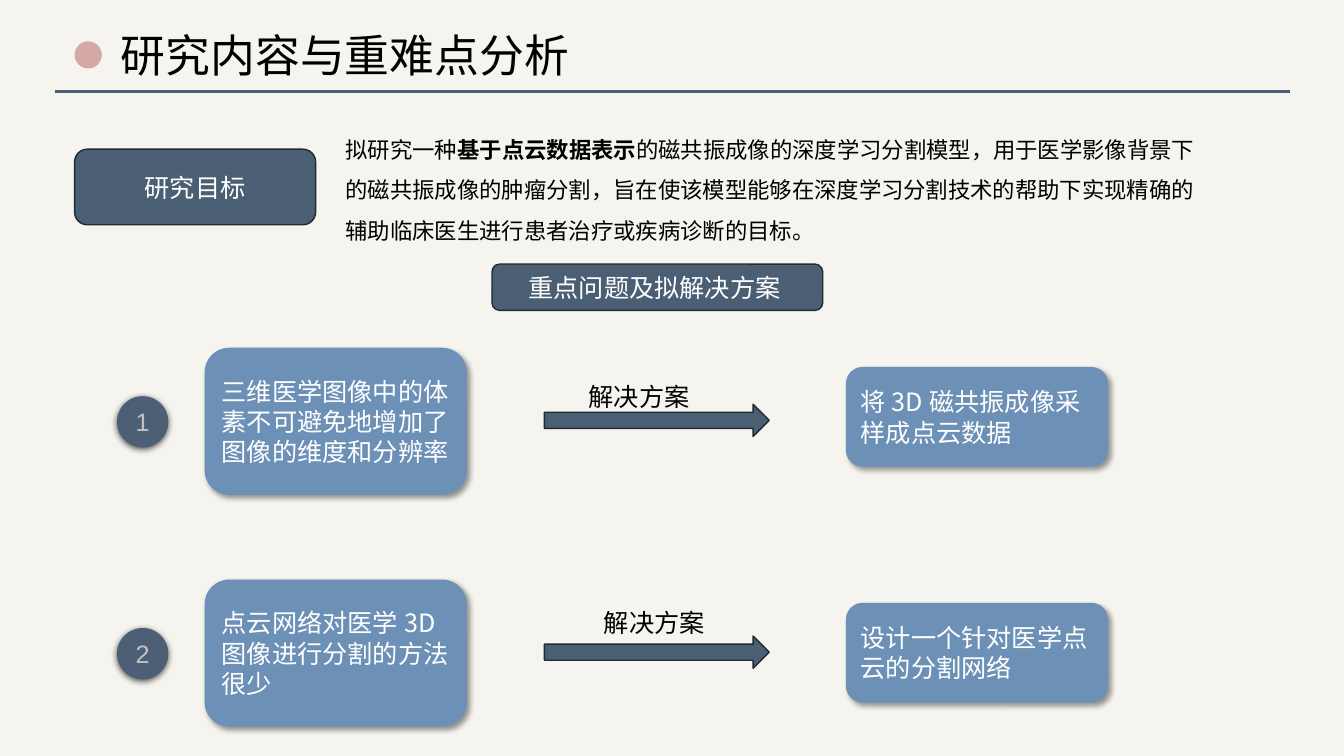
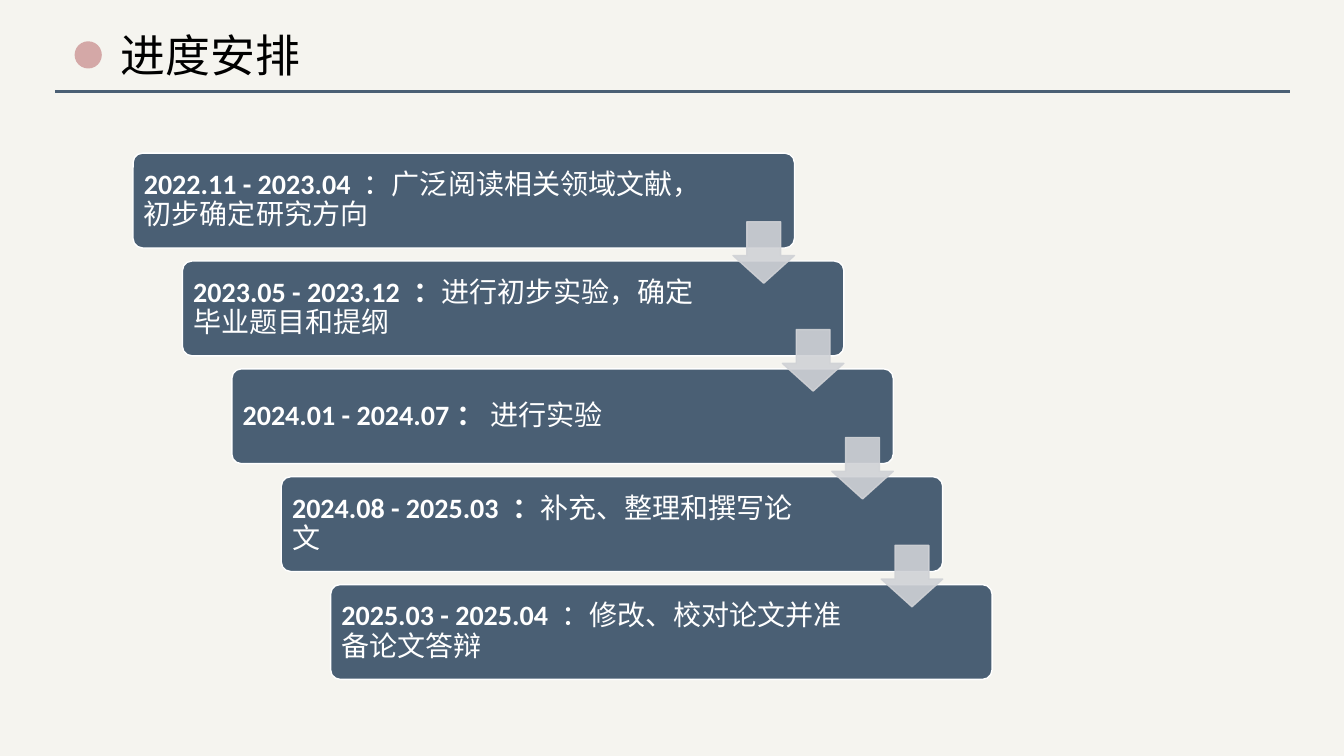
"""Build two thesis slides: research focus and schedule."""
from dataclasses import dataclass

from lxml.etree import SubElement
from pptx import Presentation
from pptx.dml.color import RGBColor as Rgb
from pptx.enum.shapes import MSO_CONNECTOR as Link, MSO_SHAPE as Kind
from pptx.enum.text import MSO_ANCHOR as Anchor, MSO_AUTO_SIZE as Fit, PP_ALIGN as Align
from pptx.oxml.ns import qn
from pptx.shapes.autoshape import Shape
from pptx.slide import Slide
from pptx.util import Emu, Pt

SCALE = 9144


@dataclass(frozen=True)
class Theme:
    """Colours, fonts and type sizes."""
    paper: str = "F5F4EF"
    slate: str = "4A5F74"
    edge: str = "202A33"
    rose: str = "D4A8A7"
    blue: str = "6D91B6"
    disc: str = "4D5F75"
    mist: str = "D0D2D6"
    grey: str = "C2C2C2"
    white: str = "FFFFFF"
    black: str = "000000"
    han: str = "Noto Sans CJK SC"
    serif: str = "Times New Roman"
    sans: str = "Arial"
    date: str = "Calibri"
    title: int = 32
    step: int = 20
    label: int = 18
    body: int = 16


T = Theme()


@dataclass(frozen=True)
class Box:
    """A place on the slide in px."""
    x: int
    y: int
    w: int
    h: int

    def emu(self) -> tuple[Emu, ...]:
        """Return the four lengths in EMU."""
        return tuple(px(n) for n in (self.x, self.y, self.w, self.h))


@dataclass(frozen=True)
class Part:
    """A stretch of text of one weight."""
    text: str
    bold: bool = False


@dataclass(frozen=True)
class Type:
    """How a paragraph is set."""
    size: int = T.label
    color: str = T.white
    font: str = T.han
    align: Align = Align.LEFT
    lead: float = 1.0


@dataclass(frozen=True)
class Shade:
    """An outer shadow: opacity, blur, distance and angle."""
    alpha: int
    blur: float
    dist: float
    angle: int


@dataclass(frozen=True)
class Pair:
    """A key problem and its planned solution."""
    issue: str
    plan: str
    plan_y: int
    tag_x: int
    tag_y: int


@dataclass(frozen=True)
class Step:
    """One stage of the schedule."""
    date: Part
    task: str
    pad: int = 120


CARD = Shade(40, 4, 3, 45)
COIN = Shade(63, 4.5, 1.5, 90)
MID = Type(align=Align.CENTER)

GOAL = (
    Part("拟研究一种"),
    Part("基于点云数据表示", True),
    Part("的磁共振成像的深度学习分割模型，用于医学影像背景下的磁共振成像的肿瘤分割，"
         "旨在使该模型能够在深度学习分割技术的帮助下实现精确的辅助临床医生进行患者治疗或疾病诊断的目标。"),
)
PAIRS = (
    Pair("三维医学图像中的体素不可避免地增加了图像的维度和分辨率",
         "将3D磁共振成像采样成点云数据", 364, 574, 373),
    Pair("点云网络对医学3D图像进行分割的方法很少",
         "设计一个针对医学点云的分割网络", 598, 589, 598),
)
STEPS = (
    Step(Part("2022.11 - 2023.04", True), " ：广泛阅读相关领域文献，初步确定研究方向", 114),
    Step(Part("2023.05 - 2023.12 ：", True), "进行初步实验，确定毕业题目和提纲"),
    Step(Part("2024.01 - 2024.07： ", True), "进行实验"),
    Step(Part("2024.08 - 2025.03 ：", True), "补充、整理和撰写论文"),
    Step(Part("2025.03 - 2025.04", True), " ：修改、校对论文并准备论文答辩"),
)


def px(n: int) -> Emu:
    """Turn px into EMU."""
    return Emu(n * SCALE)


def write(shape: Shape, parts: tuple[Part, ...], kind: Type) -> None:
    """Set one paragraph in a shape."""
    frame = shape.text_frame
    frame.word_wrap = True
    para = frame.paragraphs[0]
    para.alignment, para.line_spacing = kind.align, kind.lead
    for part in parts:
        run = para.add_run()
        run.text = part.text
        font = run.font
        font.size, font.bold = Pt(kind.size), part.bold
        font.color.rgb = Rgb.from_string(kind.color)
        font.name = kind.font
        SubElement(run._r.get_or_add_rPr(), qn("a:ea"), typeface=T.han)


def note(slide: Slide, box: Box, parts: tuple[Part, ...], kind: Type) -> None:
    """Add a text box that fits its text."""
    shape = slide.shapes.add_textbox(*box.emu())
    write(shape, parts, kind)
    shape.text_frame.auto_size = Fit.SHAPE_TO_FIT_TEXT


def draw(slide: Slide, kind: Kind, box: Box, fill: str, edge: str = "") -> Shape:
    """Add a flat shape with an optional outline."""
    shape = slide.shapes.add_shape(kind, *box.emu())
    shape.fill.solid()
    shape.fill.fore_color.rgb = Rgb.from_string(fill)
    if edge:
        shape.line.color.rgb = Rgb.from_string(edge)
        shape.line.width = Pt(1)
    else:
        shape.line.fill.background()
    shape.shadow.inherit = False
    shape.text_frame.vertical_anchor = Anchor.MIDDLE
    return shape


def cast(shape: Shape, shade: Shade) -> None:
    """Give a shape an outer shadow."""
    holder = shape._element.spPr.find(qn("a:effectLst"))
    outer = SubElement(holder, qn("a:outerShdw"), blurRad=str(Pt(shade.blur)),
                       dist=str(Pt(shade.dist)), dir=str(shade.angle * 60000),
                       algn="ctr", rotWithShape="0")
    color = SubElement(outer, qn("a:srgbClr"), val=T.black)
    SubElement(color, qn("a:alpha"), val=str(shade.alpha * 1000))


def fade(shape: Shape, alpha: int) -> None:
    """Make fill and outline partly clear."""
    for color in shape._element.spPr.iter(qn("a:srgbClr")):
        SubElement(color, qn("a:alpha"), val=str(alpha * 1000))


def label(slide: Slide, box: Box, text: str) -> None:
    """Add a dark heading plate."""
    plate = draw(slide, Kind.ROUNDED_RECTANGLE, box, T.slate, T.edge)
    write(plate, (Part(text),), MID)


def card(slide: Slide, box: Box, text: str) -> None:
    """Add a blue card with a shadow."""
    shape = draw(slide, Kind.ROUNDED_RECTANGLE, box, T.blue)
    cast(shape, CARD)
    write(shape, (Part(text),), Type())


def start(deck: Presentation, title: str, width: int) -> Slide:
    """Add a slide with its ground, title, rule and dot."""
    slide = deck.slides.add_slide(deck.slide_layouts[6])
    ground = slide.background.fill
    ground.solid()
    ground.fore_color.rgb = Rgb.from_string(T.paper)
    note(slide, Box(110, 23, width, 64), (Part(title),), Type(T.title, T.black, T.serif))
    rule = slide.shapes.add_connector(Link.STRAIGHT, px(55), px(91), px(1279), px(91))
    rule.line.color.rgb = Rgb.from_string(T.slate)
    rule.line.width = Pt(2)
    SubElement(rule._element.spPr, qn("a:effectLst"))
    draw(slide, Kind.OVAL, Box(74, 41, 27, 27), T.rose)
    return slide


def focus(deck: Presentation) -> None:
    """Build the slide on goal, problems and solutions."""
    slide = start(deck, "研究内容与重难点分析", 468)
    label(slide, Box(74, 148, 239, 75), "研究目标")
    note(slide, Box(333, 117, 865, 127), GOAL, Type(T.body, T.black, lead=1.5))
    label(slide, Box(488, 262, 328, 46), "重点问题及拟解决方案 ")
    for i, pair in enumerate(PAIRS):
        drop = 230 * i
        coin = draw(slide, Kind.OVAL, Box(116, 393 + drop, 51, 51), T.disc)
        cast(coin, COIN)
        write(coin, (Part(str(i + 1)),), Type(T.label, T.grey, T.sans, Align.CENTER))
        card(slide, Box(203, 345 + drop, 260, 146), pair.issue)
        draw(slide, Kind.RIGHT_ARROW, Box(540, 401 + drop, 223, 32), T.slate, T.edge)
        note(slide, Box(pair.tag_x, pair.tag_y, 125, 40), (Part("解决方案"),),
             Type(color=T.black))
        card(slide, Box(839, pair.plan_y, 260, 99), pair.plan)


def plan(deck: Presentation) -> None:
    """Build the stepped schedule slide."""
    slide = start(deck, "进度安排", 362)
    dx, dy = 49, 107
    for i, step in enumerate(STEPS):
        box = Box(132 + dx * i, 152 + dy * i, 656, 94)
        bar = draw(slide, Kind.ROUNDED_RECTANGLE, box, T.slate, T.white)
        bar.adjustments[0] = 0.1
        frame = bar.text_frame
        frame.margin_left = frame.margin_top = frame.margin_bottom = px(8)
        frame.margin_right = px(step.pad)
        write(bar, (step.date, Part(step.task)), Type(T.step, font=T.date, lead=0.9))
    for i in range(len(STEPS) - 1):
        box = Box(727 + dx * i, 220 + dy * i, 61, 61)
        arrow = draw(slide, Kind.DOWN_ARROW, box, T.mist, T.mist)
        arrow.adjustments[0], arrow.adjustments[1] = 0.55, 0.45
        fade(arrow, 90)


def main() -> None:
    """Build and save the deck."""
    deck = Presentation()
    deck.slide_width, deck.slide_height = px(1333), px(750)
    focus(deck)
    plan(deck)
    deck.save("out.pptx")


if __name__ == "__main__":
    main()
